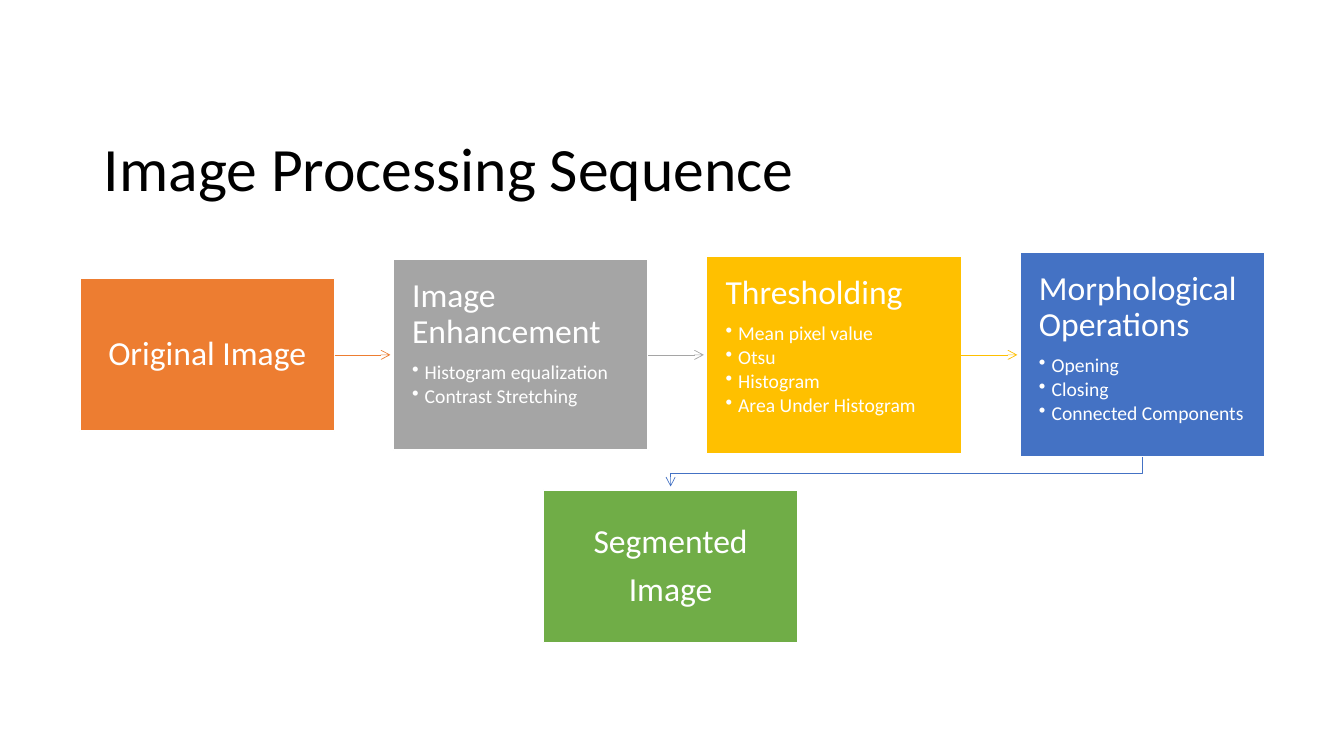
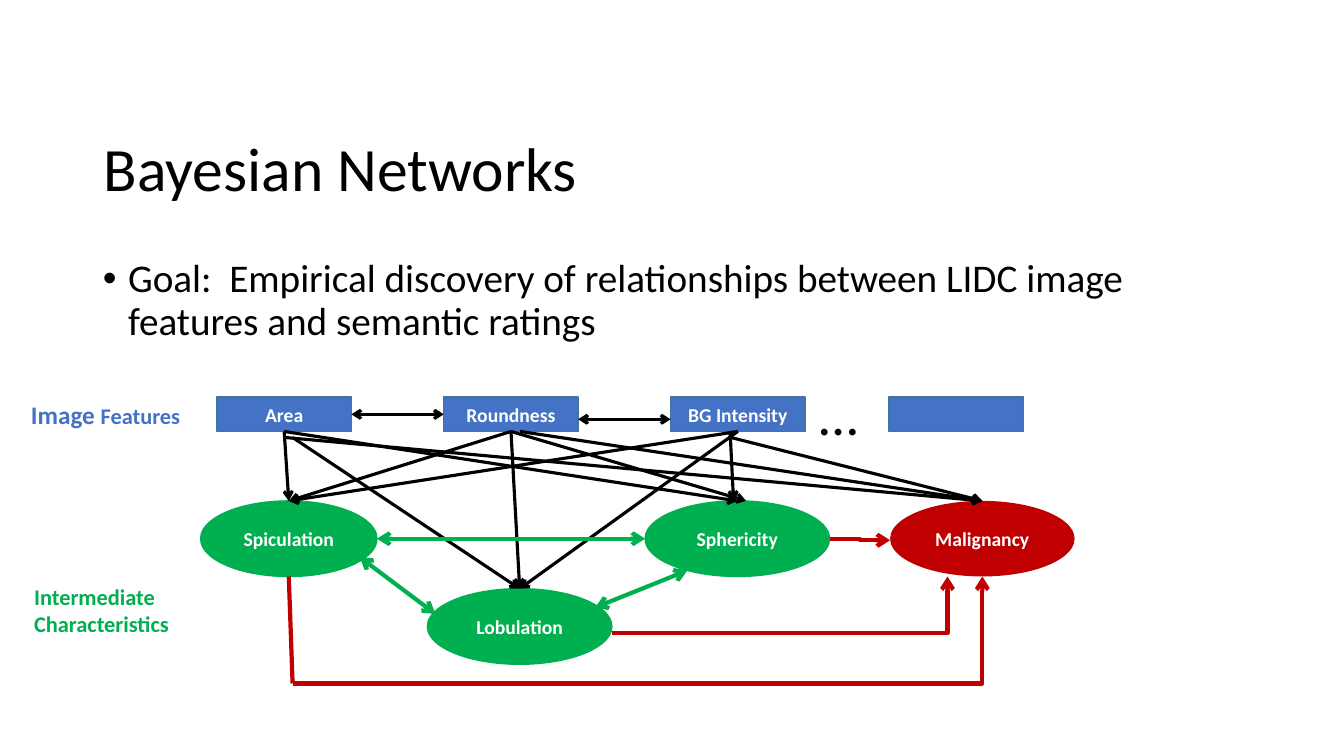
"""Builds two slides: an image processing flow and a Bayesian network."""
from lxml import etree
from pptx import Presentation
from pptx.dml.color import RGBColor
from pptx.enum.shapes import MSO_CONNECTOR, MSO_SHAPE
from pptx.enum.text import MSO_ANCHOR, PP_ALIGN
from pptx.oxml.ns import qn
from pptx.util import Pt

RECT, OVAL = MSO_SHAPE.RECTANGLE, MSO_SHAPE.OVAL
STRAIGHT, ELBOW = MSO_CONNECTOR.STRAIGHT, MSO_CONNECTOR.ELBOW
LEFT, CENTER = PP_ALIGN.LEFT, PP_ALIGN.CENTER
TOP, MIDDLE = MSO_ANCHOR.TOP, MSO_ANCHOR.MIDDLE
TOP_SIDE, LEFT_SIDE, BOTTOM_SIDE, RIGHT_SIDE = range(4)

BLACK = RGBColor(0x00, 0x00, 0x00)
WHITE = RGBColor(0xFF, 0xFF, 0xFF)
ORANGE = RGBColor(0xED, 0x7D, 0x31)
GRAY = RGBColor(0xA5, 0xA5, 0xA5)
GOLD = RGBColor(0xFF, 0xC0, 0x00)
BLUE = RGBColor(0x44, 0x72, 0xC4)
BLUE_EDGE = RGBColor(0x43, 0x73, 0x9E)
LEAF = RGBColor(0x70, 0xAD, 0x47)
GREEN = RGBColor(0x00, 0xB0, 0x50)
RED = RGBColor(0xC0, 0x00, 0x00)

FONT = "Calibri"
TITLE_BOX = (67, 70.5, 828, 104.4)
BODY_BOX = (66.3, 181.4, 828, 305.3)
TITLE_FORMAT = {"size": Pt(44), "color": BLACK}
BODY_FORMAT = {"size": Pt(28), "color": BLACK}
NODE_FORMAT = {"size": Pt(14), "color": WHITE, "bold": True}

STEPS = [
    ("Original Image", [], ORANGE, 182, 109),
    ("Image Enhancement", ["Histogram equalization", "Contrast Stretching"],
     GRAY, 182, 136),
    ("Thresholding",
     ["Mean pixel value", "Otsu", "Histogram", "Area Under Histogram"],
     GOLD, 182, 140.5),
    ("Morphological Operations",
     ["Opening", "Closing", "Connected Components"], BLUE, 174.4, 146.2),
]
STEP_LEFT, STEP_PITCH, STEP_MIDDLE, STEP_INSET = 57, 223.9, 253.5, 13.44
RESULT_LINES, RESULT_BOX = ["Segmented", "Image"], (388, 350, 182, 109)

GOAL = ("Goal:  Empirical discovery of relationships between LIDC image "
        "features and semantic ratings")
FEATURES = [("Area", 155), ("Roundness", 317), ("BG Intensity", 479), ("", 635)]
FEATURE_TOP, FEATURE_SIZE = 283.7, (96, 24.5)
RATINGS = [
    ("Malignancy", RED, (635.8, 357.8, 131.8, 54)),
    ("Lobulation", GREEN, (305.3, 420.5, 131.8, 54)),
    ("Spiculation", GREEN, (143.3, 357.8, 126, 54)),
    ("Sphericity", GREEN, (460.8, 357.8, 131.8, 54)),
]
LABELS = [
    ((15, 281.5, 130.3, 28.8),
     [("Image ", 18, BLUE, True), ("Features", 16, BLUE, True)]),
    ((578, 267.8, 66, 55.4), [("…", 40, BLACK, False)]),
    ((17.3, 413.3, 130.3, 46),
     [("Intermediate Characteristics", 16, GREEN, True)]),
]
FEATURE_LINKS = [
    (("Area", BOTTOM_SIDE), ("Spiculation", TOP_SIDE)),
    (("Roundness", BOTTOM_SIDE), ("Lobulation", TOP_SIDE)),
    ((371.5, 308.2), ("Malignancy", TOP_SIDE)),
    (("Roundness", BOTTOM_SIDE), ("Spiculation", TOP_SIDE)),
    (("Roundness", BOTTOM_SIDE), (533, 357.8)),
    (("BG Intensity", BOTTOM_SIDE), ("Spiculation", TOP_SIDE)),
    (("BG Intensity", BOTTOM_SIDE), ("Lobulation", TOP_SIDE)),
    ((521.5, 308.2), (524, 357.8)),
    ((209, 312.5), ("Lobulation", TOP_SIDE)),
    (("Area", BOTTOM_SIDE), ("Sphericity", TOP_SIDE)),
    ((203.8, 312.5), ("Malignancy", TOP_SIDE)),
    ((522, 312.5), ("Malignancy", TOP_SIDE)),
]
FEATURE_PAIRS = [
    (("Area", RIGHT_SIDE), ("Roundness", LEFT_SIDE)),
    ((413, 299.5), (479, 299.5)),
]
RATING_PAIRS = [
    ((257, 398), (311, 438.5)),
    ((491, 407.5), (425, 434)),
    ((460.8, 384.8), (269.3, 384.8)),
]
MALIGNANCY_ELBOWS = [
    ((209.5, 488.2), (701.7, 411.8), 100000),
    ((592.6, 384.8), (635.8, 385.9), 50000),
    ((437.1, 452.2), (676.8, 411.8), 100000),
]
SPICULATION_STEM = ((209, 488.2), (206.3, 411.8))


def place(shape, box):
    for name, value in zip(("left", "top", "width", "height"), box):
        setattr(shape, name, Pt(value))


def add_run(p, text, color, **values):
    r = p.add_run()
    r.text = text
    r.font.color.rgb = color
    for name, value in {"name": FONT, **values}.items():
        setattr(r.font, name, value)


def set_paragraph(p, **values):
    for name, value in values.items():
        setattr(p, name, value)


def indent(p, points):
    pPr = p._p.get_or_add_pPr()
    pPr.set("marL", str(Pt(points)))
    pPr.set("indent", str(-Pt(points)))
    return pPr


def add_slide(prs, layout, title):
    s = prs.slides.add_slide(prs.slide_layouts[layout])
    tf = s.shapes.title.text_frame
    tf.vertical_anchor = MIDDLE
    set_paragraph(tf.paragraphs[0], alignment=LEFT, line_spacing=0.9)
    add_run(tf.paragraphs[0], title, **TITLE_FORMAT)
    return s


def add_box(s, kind, box, fill, edge):
    sp = s.shapes.add_shape(kind, *map(Pt, box))
    sp.shadow.inherit = False
    sp.fill.solid()
    sp.fill.fore_color.rgb = fill
    sp.line.color.rgb = edge
    sp.line.width = Pt(1)
    return sp


def add_step(s, box, color, headings, bullets):
    sp = add_box(s, RECT, box, color, WHITE)
    tf = sp.text_frame
    for side in ("left", "top", "right", "bottom"):
        setattr(tf, f"margin_{side}", Pt(STEP_INSET))
    tf.vertical_anchor = TOP if bullets else MIDDLE
    lines = [(h, 24, 0.35) for h in headings] + [(b, 14, 0.15) for b in bullets]
    for i, (text, size, gap) in enumerate(lines):
        p = tf.add_paragraph() if i else tf.paragraphs[0]
        set_paragraph(p, alignment=LEFT if bullets else CENTER,
                      line_spacing=0.9, space_after=Pt(size * gap))
        if i >= len(headings):
            p.level = 1
            etree.SubElement(indent(p, 9), qn("a:buChar"), char="•")
        add_run(p, text, WHITE, size=Pt(size))
    return sp


def style_line(sp, color, width, ends):
    sp.line.color.rgb = color
    sp.line.width = Pt(width)
    ln = sp.line._get_or_add_ln()
    for end in ends:
        etree.SubElement(ln, qn(f"a:{end}"), type="arrow")
    etree.SubElement(sp._element.spPr, qn("a:effectLst"))


def add_link(s, nodes, start, end, color, width, ends=("tailEnd",), bend=None):
    kind = STRAIGHT if bend is None else ELBOW
    points = [(0, 0) if isinstance(at[0], str) else at for at in (start, end)]
    c = s.shapes.add_connector(kind, *(Pt(v) for at in points for v in at))
    for at, join in ((start, c.begin_connect), (end, c.end_connect)):
        if isinstance(at[0], str):
            join(nodes[at[0]], at[1])
    if bend is not None:
        guides = c._element.spPr.find(qn("a:prstGeom")).get_or_add_avLst()
        etree.SubElement(guides, qn("a:gd"), name="adj1", fmla=f"val {bend}")
    style_line(c, color, width, ends)


def build_sequence(prs):
    s = add_slide(prs, 5, "Image Processing Sequence")
    nodes = {}
    for i, (heading, bullets, color, width, height) in enumerate(STEPS):
        left = STEP_LEFT + i * STEP_PITCH
        box = (left, STEP_MIDDLE - height / 2, width, height)
        nodes[heading] = add_step(s, box, color, [heading], bullets)
        if i < len(STEPS) - 1:
            add_link(s, nodes, (heading, RIGHT_SIDE),
                     (left + STEP_PITCH - 2, STEP_MIDDLE), color, 0.5)
    add_step(s, RESULT_BOX, LEAF, RESULT_LINES, [])
    start_x, start_y = left + width / 2, STEP_MIDDLE + height / 2
    end_x, end_y = RESULT_BOX[0] + RESULT_BOX[2] / 2, RESULT_BOX[1] - 2.5
    turn_y = start_y + 11.5
    route = [(start_x, turn_y), (end_x, turn_y), (end_x, end_y)]
    path_builder = s.shapes.build_freeform(Pt(start_x), Pt(start_y))
    path_builder.add_line_segments([(Pt(x), Pt(y)) for x, y in route], close=False)
    sp = path_builder.convert_to_shape()
    sp.fill.background()
    style_line(sp, color, 0.5, ("tailEnd",))


def build_network(prs):
    s = add_slide(prs, 1, "Bayesian Networks")
    p = s.placeholders[1].text_frame.paragraphs[0]
    set_paragraph(p, line_spacing=0.9, space_before=Pt(10))
    indent(p, 18)
    add_run(p, GOAL, **BODY_FORMAT)

    boxes = [(name, RECT, BLUE, BLUE_EDGE, (left, FEATURE_TOP, *FEATURE_SIZE))
             for name, left in FEATURES]
    boxes += [(name, OVAL, color, color, box) for name, color, box in RATINGS]
    nodes = {}
    for name, kind, fill, edge, box in boxes:
        nodes[name] = sp = add_box(s, kind, box, fill, edge)
        if name:
            sp.text_frame.vertical_anchor = MIDDLE
            p = sp.text_frame.paragraphs[0]
            p.alignment = CENTER
            add_run(p, name, **NODE_FORMAT)
    nodes["Malignancy"].line.fill.background()

    for box, runs in LABELS:
        tf = s.shapes.add_textbox(*map(Pt, box)).text_frame
        tf.word_wrap = True
        for text, size, color, bold in runs:
            add_run(tf.paragraphs[0], text, color, size=Pt(size), bold=bold)

    both = ("headEnd", "tailEnd")
    groups = [(FEATURE_LINKS, BLACK, 2.25, ("tailEnd",)),
              (FEATURE_PAIRS, BLACK, 2.25, both),
              (RATING_PAIRS, GREEN, 3, both),
              ([SPICULATION_STEM], RED, 3, ())]
    for links, color, width, ends in groups:
        for start, end in links:
            add_link(s, nodes, start, end, color, width, ends)
    for start, end, bend in MALIGNANCY_ELBOWS:
        add_link(s, nodes, start, end, RED, 3, bend=bend)


def main():
    prs = Presentation()
    prs.slide_width, prs.slide_height = Pt(960), Pt(540)
    title, body = list(prs.slide_master.placeholders)[:2]
    place(title, TITLE_BOX)
    place(body, BODY_BOX)
    build_sequence(prs)
    build_network(prs)
    prs.save("out.pptx")


if __name__ == "__main__":
    main()
